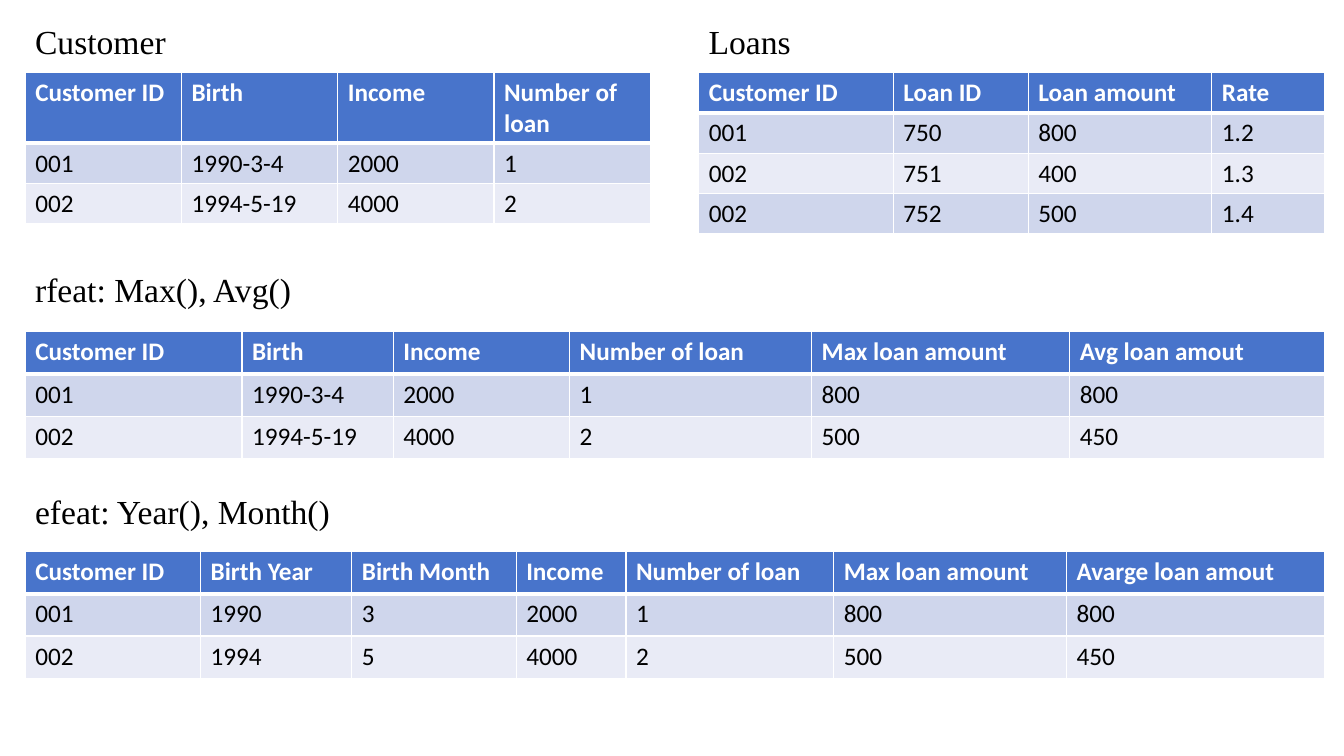
from dataclasses import dataclass

from lxml.etree import SubElement
from pptx import Presentation
from pptx.dml.color import RGBColor
from pptx.oxml.ns import qn
from pptx.slide import Slide
from pptx.table import _Cell
from pptx.util import Inches, Pt

WHITE = RGBColor(0xFF, 0xFF, 0xFF)
BLACK = RGBColor(0x00, 0x00, 0x00)
HEADER_BLUE = RGBColor(0x48, 0x74, 0xCB)
BAND_DARK = RGBColor(0xCF, 0xD6, 0xEC)
BAND_LIGHT = RGBColor(0xE9, 0xEB, 0xF6)

LEFT, RIGHT_HALF = 0.25, 6.93
THIN, THICK = 1, 3


@dataclass(frozen=True)
class Section:
    title: str
    left: float
    title_top: float
    table_top: float
    header_height: float
    row_height: float
    columns: dict[str, float]
    records: list[list[str]]


SECTIONS = [
    Section(
        "Customer", LEFT, 0.16, 0.72, 0.7, 0.4,
        {"Customer ID": 1.55, "Birth": 1.55, "Income": 1.55, "Number of loan": 1.55},
        [["001", "1990-3-4", "2000", "1"],
         ["002", "1994-5-19", "4000", "2"]],
    ),
    Section(
        "Loans", RIGHT_HALF, 0.16, 0.72, 0.4, 0.4,
        {"Customer ID": 1.93, "Loan ID": 1.34, "Loan amount": 1.82, "Rate": 1.12},
        [["001", "750", "800", "1.2"],
         ["002", "751", "400", "1.3"],
         ["002", "752", "500", "1.4"]],
    ),
    Section(
        "rfeat: Max(), Avg()", LEFT, 2.62, 3.29, 0.42, 0.42,
        {"Customer ID": 2.15, "Birth": 1.5, "Income": 1.75,
         "Number of loan": 2.4, "Max loan amount": 2.56, "Avg loan amout": 2.53},
        [["001", "1990-3-4", "2000", "1", "800", "800"],
         ["002", "1994-5-19", "4000", "2", "500", "450"]],
    ),
    Section(
        "efeat: Year(), Month()", LEFT, 4.82, 5.47, 0.42, 0.42,
        {"Customer ID": 1.74, "Birth Year": 1.5, "Birth Month": 1.63, "Income": 1.09,
         "Number of loan": 2.06, "Max loan amount": 2.31, "Avarge loan amout": 2.56},
        [["001", "1990", "3", "2000", "1", "800", "800"],
         ["002", "1994", "5", "4000", "2", "500", "450"]],
    ),
]


def add_title(page: Slide, section: Section) -> None:
    box = page.shapes.add_textbox(
        Inches(section.left), Inches(section.title_top), Inches(4.44), Inches(0.5)
    )
    box.text_frame.word_wrap = True
    para = box.text_frame.paragraphs[0]
    para.text = section.title
    para.font.name = "Times New Roman"
    para.font.size = Pt(24)
    para.font.color.rgb = BLACK


def set_borders(cell: _Cell, top: int, bottom: int) -> None:
    """Draw white cell borders; widths are in points."""
    properties = cell._tc.get_or_add_tcPr()
    widths = {"a:lnL": THIN, "a:lnR": THIN, "a:lnT": top, "a:lnB": bottom}
    for tag, width in widths.items():
        line = SubElement(properties, qn(tag), w=str(Pt(width)))
        fill = SubElement(line, qn("a:solidFill"))
        SubElement(fill, qn("a:srgbClr"), val=str(WHITE))


def fill_cell(cell: _Cell, text: str, row: int) -> None:
    is_header = row == 0
    set_borders(cell, THICK if row == 1 else THIN, THICK if is_header else THIN)
    cell.fill.solid()
    band = BAND_DARK if row % 2 else BAND_LIGHT
    cell.fill.fore_color.rgb = HEADER_BLUE if is_header else band
    para = cell.text_frame.paragraphs[0]
    para.text = text
    para.font.name = "Calibri"
    para.font.size = Pt(18)
    para.font.bold = is_header
    para.font.color.rgb = WHITE if is_header else BLACK


def add_data_table(page: Slide, section: Section) -> None:
    rows = [list(section.columns), *section.records]
    widths = list(section.columns.values())
    heights = [section.header_height] + [section.row_height] * len(section.records)
    table = page.shapes.add_table(
        len(rows), len(widths), Inches(section.left), Inches(section.table_top),
        Inches(sum(widths)), Inches(sum(heights)),
    ).table
    for column, width in zip(table.columns, widths):
        column.width = Inches(width)
    for row, height in zip(table.rows, heights):
        row.height = Inches(height)
    for row_index, texts in enumerate(rows):
        for column_index, text in enumerate(texts):
            fill_cell(table.cell(row_index, column_index), text, row_index)


def main() -> None:
    deck = Presentation()
    deck.slide_width, deck.slide_height = Inches(13.33), Inches(7.5)
    page = deck.slides.add_slide(deck.slide_layouts[6])
    for section in SECTIONS:
        add_title(page, section)
        add_data_table(page, section)
    deck.save("out.pptx")


if __name__ == "__main__":
    main()
